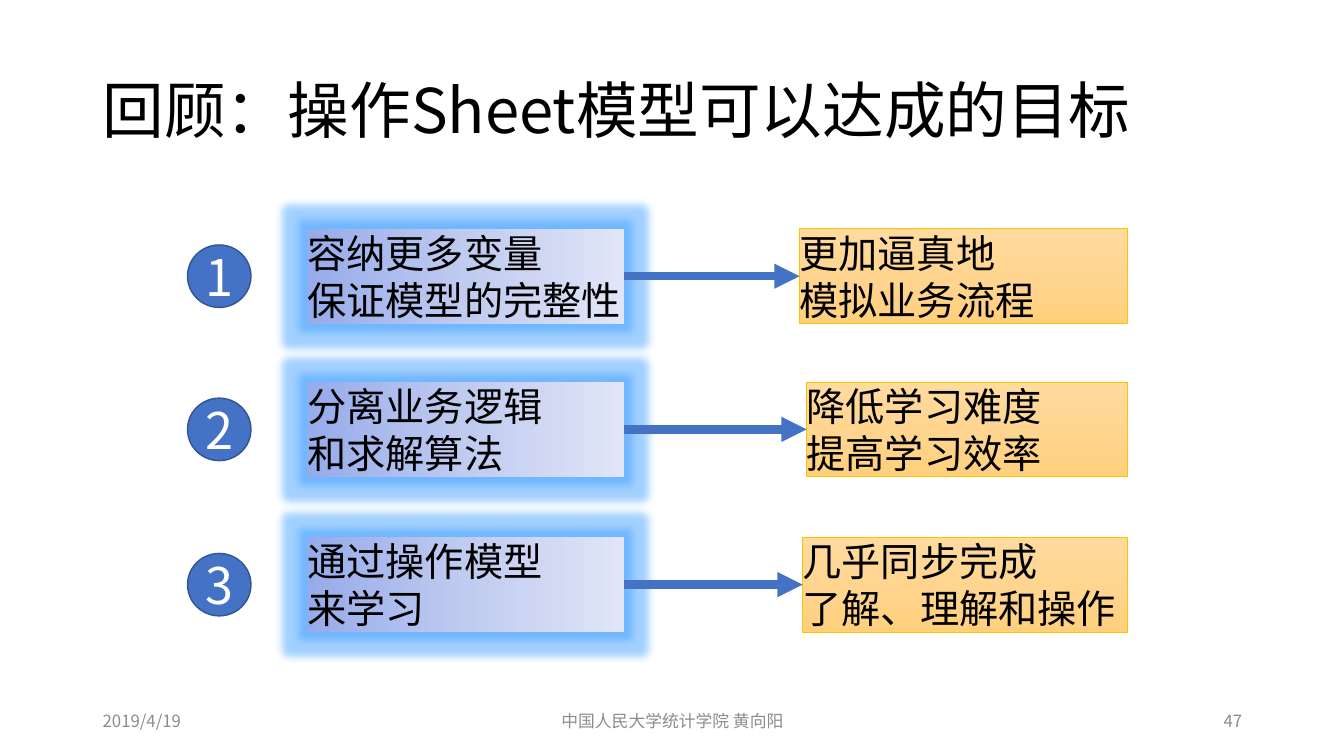
from dataclasses import dataclass

from pptx import Presentation
from pptx.dml.color import RGBColor
from pptx.enum.shapes import MSO_CONNECTOR, MSO_SHAPE
from pptx.enum.text import MSO_ANCHOR, PP_ALIGN
from pptx.oxml import parse_xml
from pptx.oxml.ns import nsdecls, qn
from pptx.util import Inches, Pt


@dataclass(frozen=True)
class Theme:
    font: str = "Noto Sans CJK SC"
    ink: str = "000000"
    white: str = "FFFFFF"
    muted: str = "8C8C8C"
    accent: str = "4472C4"
    badge_edge: str = "325491"
    goal_edge: str = "FFC000"
    glow: str = "3399FF"
    action_stops: tuple = ("96ABEA", "C0CBF0", "E0E5F7")
    goal_stops: tuple = ("FFDB9E", "FFD590", "FFD07C")
    title_size: int = 44
    badge_size: int = 36
    body_size: int = 28
    footer_size: int = 12


THEME = Theme()

# Top of the row, action lines, left edge of the goal, goal lines
ROWS = [
    (2.27, ["容纳更多变量", "保证模型的完整性"], 7.93, ["更加逼真地", "模拟业务流程"]),
    (3.79, ["分离业务逻辑", "和求解算法"], 8, ["降低学习难度", "提高学习效率"]),
    (5.33, ["通过操作模型", "来学习"], 7.96, ["几乎同步完成", "了解、理解和操作"]),
]
ROW_LEFT, ROW_RIGHT, ROW_HEIGHT = 1.86, 11.18, 0.94


def write(s, lines, size, color, align=PP_ALIGN.LEFT, spacing=None, inset=None):
    """Fill a shape with one paragraph per line."""
    tf = s.text_frame
    tf.word_wrap = True
    tf.vertical_anchor = MSO_ANCHOR.MIDDLE
    if inset is not None:
        tf.margin_left = tf.margin_right = Inches(inset)
        tf.margin_top = tf.margin_bottom = Inches(inset)
    for i, line in enumerate(lines):
        p = tf.add_paragraph() if i else tf.paragraphs[0]
        p.alignment = align
        if spacing:
            p.line_spacing = spacing
        r = p.add_run()
        r.text = line
        r.font.size = Pt(size)
        r.font.name = THEME.font
        r.font.color.rgb = RGBColor.from_string(color)
        # East Asian typeface
        r.font._element.append(
            parse_xml(f'<a:ea {nsdecls("a")} typeface="{THEME.font}"/>'))


def add_label(slide, box, text, size, color, align=PP_ALIGN.LEFT, spacing=None):
    s = slide.shapes.add_textbox(*map(Inches, box))
    write(s, [text], size, color, align, spacing)


def add_block(slide, kind, box, edge=None, weight=1):
    s = slide.shapes.add_shape(kind, *map(Inches, box))
    s.shadow.inherit = False
    if edge:
        s.line.color.rgb = RGBColor.from_string(edge)
        s.line.width = Pt(weight)
    else:
        s.line.fill.background()
    return s


def set_gradient(s, colors, angle):
    """Spread the colours evenly; angle is counter-clockwise."""
    s.fill.gradient()
    s.fill.gradient_angle = angle
    stops = s._element.spPr.find(qn("a:gradFill")).find(qn("a:gsLst"))
    for stop in list(stops):
        stops.remove(stop)
    for i, color in enumerate(colors):
        pos = 100000 * i // (len(colors) - 1)
        stops.append(parse_xml(
            f'<a:gs {nsdecls("a")} pos="{pos}"><a:srgbClr val="{color}"/></a:gs>'))


def set_glow(s, radius):
    effects = s._element.spPr.find(qn("a:effectLst"))
    effects.append(parse_xml(
        f'<a:glow {nsdecls("a")} rad="{Pt(radius)}"><a:srgbClr val="{THEME.glow}">'
        '<a:alpha val="45000"/></a:srgbClr></a:glow>'))


def add_arrow(slide, x1, x2, y):
    s = slide.shapes.add_connector(
        MSO_CONNECTOR.STRAIGHT, *map(Inches, (x1, y, x2, y)))
    s.line.color.rgb = RGBColor.from_string(THEME.accent)
    s.line.width = Pt(6)
    s.line._get_or_add_ln().append(
        parse_xml(f'<a:tailEnd {nsdecls("a")} type="triangle"/>'))
    s._element.spPr.append(parse_xml(f'<a:effectLst {nsdecls("a")}/>'))


def add_row(slide, box, number, action, goal_left, goal):
    left, top, width, height = box
    middle = top + height / 2
    action_left, action_width = left + 1.19, 3.14

    # Action box
    s = add_block(slide, MSO_SHAPE.RECTANGLE,
                  (action_left, top, action_width, height))
    set_gradient(s, THEME.action_stops, 0)
    set_glow(s, 12)
    write(s, action, THEME.body_size, THEME.ink, inset=0)

    # Goal box
    s = add_block(slide, MSO_SHAPE.RECTANGLE,
                  (goal_left, top, left + width - goal_left, height),
                  THEME.goal_edge, 0.5)
    set_gradient(s, THEME.goal_stops, 270)
    write(s, goal, THEME.body_size, THEME.ink, inset=0)

    # Arrow from action to goal
    add_arrow(slide, action_left + action_width, goal_left, middle)

    # Numbered badge
    s = add_block(slide, MSO_SHAPE.OVAL, (left, middle - 0.31, 0.63, 0.62),
                  THEME.badge_edge)
    s.fill.solid()
    s.fill.fore_color.rgb = RGBColor.from_string(THEME.accent)
    write(s, [str(number)], THEME.badge_size, THEME.white, PP_ALIGN.CENTER, inset=0)


def add_footer(slide, box):
    left, top, width, height = box
    parts = [
        (0, 3, "2019/4/19", PP_ALIGN.LEFT),
        ((width - 4.5) / 2, 4.5, "中国人民大学统计学院 黄向阳", PP_ALIGN.CENTER),
        (width - 3, 3, "47", PP_ALIGN.RIGHT),
    ]
    for offset, part_width, text, align in parts:
        add_label(slide, (left + offset, top, part_width, height), text,
                  THEME.footer_size, THEME.muted, align)


def main():
    prs = Presentation()
    prs.slide_width, prs.slide_height = Inches(13.33), Inches(7.5)
    slide = prs.slides.add_slide(prs.slide_layouts[6])

    add_label(slide, (0.92, 0.4, 11.5, 1.45), "回顾：操作Sheet模型可以达成的目标",
              THEME.title_size, THEME.ink, spacing=0.9)
    for number, (top, action, goal_left, goal) in enumerate(ROWS, 1):
        add_row(slide, (ROW_LEFT, top, ROW_RIGHT - ROW_LEFT, ROW_HEIGHT),
                number, action, goal_left, goal)
    add_footer(slide, (0.92, 6.95, 11.5, 0.4))

    prs.save("out.pptx")


if __name__ == "__main__":
    main()
